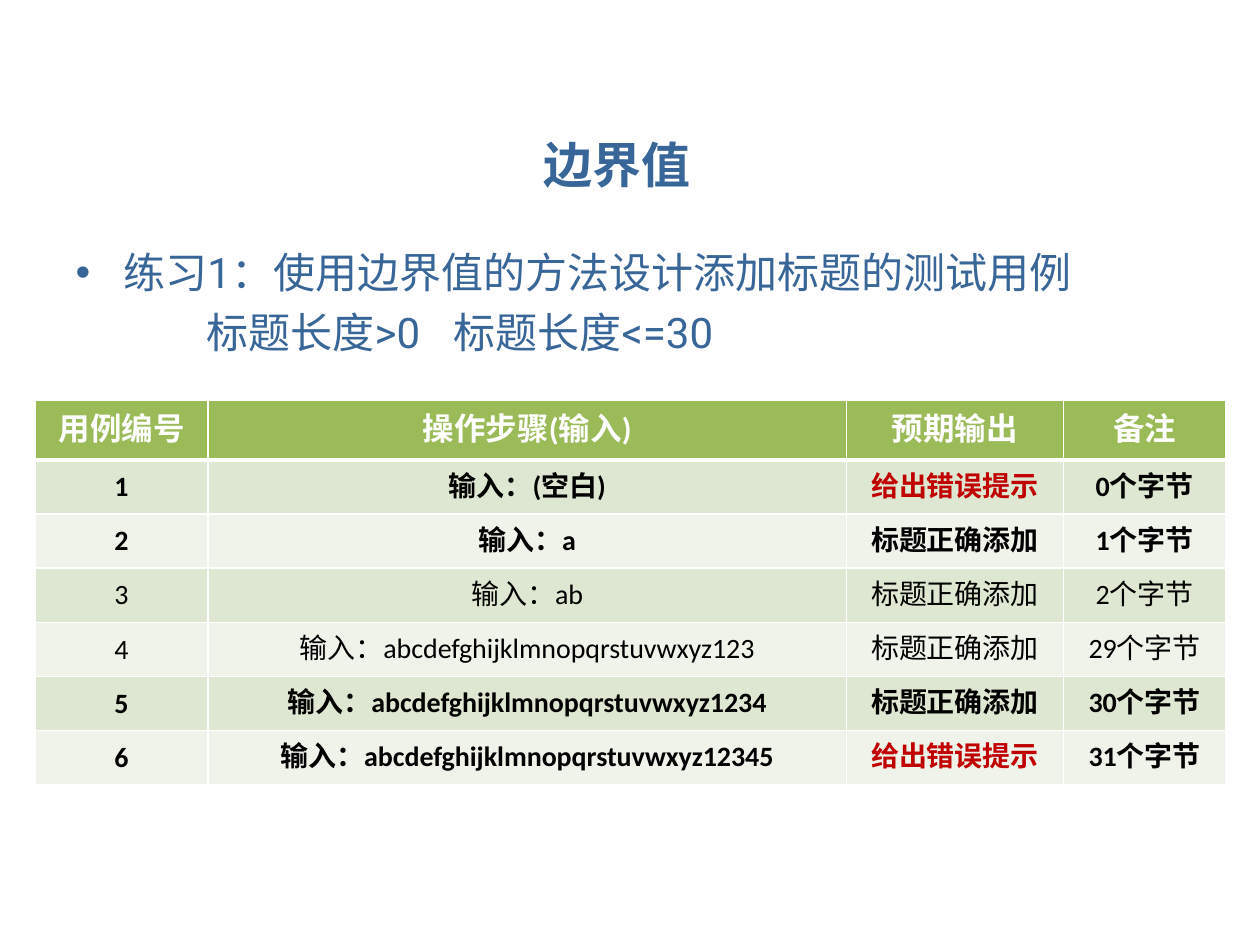
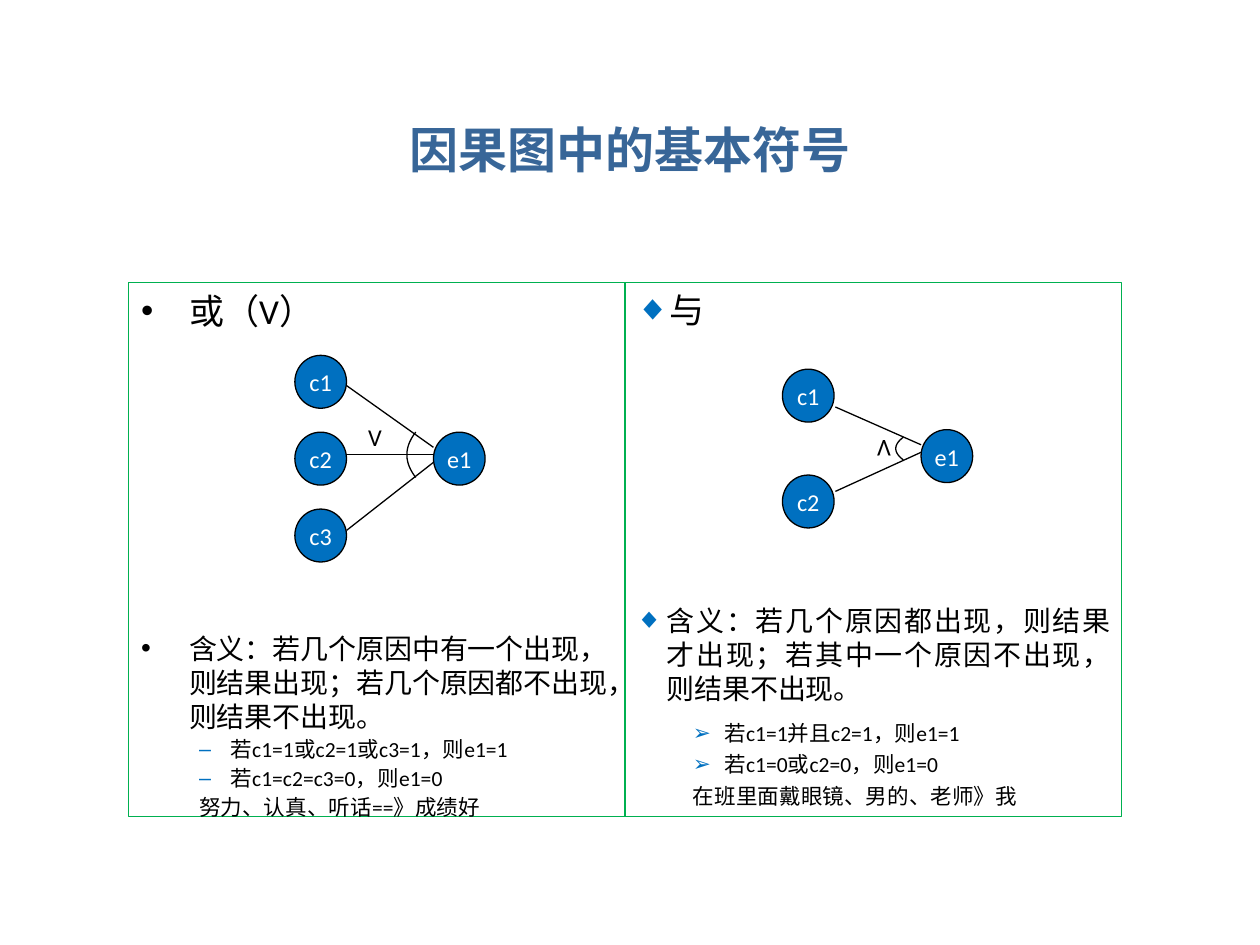
from dataclasses import dataclass

from lxml.etree import SubElement
from pptx import Presentation
from pptx.dml.color import RGBColor
from pptx.enum.lang import MSO_LANGUAGE_ID
from pptx.enum.shapes import MSO_CONNECTOR, MSO_SHAPE
from pptx.enum.text import MSO_ANCHOR, MSO_AUTO_SIZE, PP_ALIGN
from pptx.oxml.ns import qn
from pptx.util import Pt

PX = 9144  # EMU in one px, 100 px to the inch


@dataclass(frozen=True)
class Theme:
    heading: str = "386698"
    ink: str = "000000"
    white: str = "FFFFFF"
    accent: str = "0070C0"
    frame: str = "00B050"
    alert: str = "C00000"
    header: str = "9BBB59"
    bands: tuple = ("DEE7D1", "EFF3EA")
    title_font: str = "Roboto"
    text_font: str = "Calibri"
    alert_font: str = "Times New Roman"
    east_asian_font: str = "Noto Sans CJK SC"
    title_size: float = 28
    lead_size: float = 24
    topic_size: float = 20
    header_size: float = 18
    text_size: float = 16
    node_size: float = 13.8
    detail_size: float = 12.3
    line_height: float = 1.22
    thin: float = 0.75


THEME = Theme()


def px(*lengths):
    return [round(length * PX) for length in lengths]


def write(frame, text, first=False, size=THEME.text_size, font=THEME.text_font,
          color=THEME.ink, bold=False, align=PP_ALIGN.LEFT, level=0, margin=0,
          indent=0, before=0, spacing=1, bullet=None, bullet_color=None, tab=None):
    """Put one formatted paragraph into a text frame."""
    para = frame.paragraphs[0] if first else frame.add_paragraph()
    properties = para._p.get_or_add_pPr()
    properties.set("marL", str(margin * PX))
    properties.set("indent", str(indent * PX))
    if bullet_color:
        color_part = SubElement(properties, qn("a:buClr"))
        SubElement(color_part, qn("a:srgbClr"), val=bullet_color)
    if bullet:
        SubElement(properties, qn("a:buChar"), char=bullet)
    else:
        SubElement(properties, qn("a:buNone"))
    if tab:
        tabs = SubElement(properties, qn("a:tabLst"))
        SubElement(tabs, qn("a:tab"), pos=str(tab * PX), algn="l")
    para.level = level
    para.alignment = align
    para.line_spacing = Pt(size * THEME.line_height * spacing)
    para.space_before = Pt(before)
    para.space_after = Pt(0)
    span = para.add_run()
    span.text = text
    span.font.size = Pt(size)
    span.font.name = font
    span.font.bold = bold
    span.font.color.rgb = RGBColor.from_string(color)
    span.font.language_id = MSO_LANGUAGE_ID.SIMPLIFIED_CHINESE
    SubElement(span._r.get_or_add_rPr(), qn("a:ea"), typeface=THEME.east_asian_font)


class Builder:
    def __init__(self, deck, theme):
        self.deck, self.theme, self.page = deck, theme, None

    def start(self, layout):
        self.page = self.deck.slides.add_slide(self.deck.slide_layouts[layout])

    def place(self, box, left, top, width, height):
        box.left, box.top, box.width, box.height = px(left, top, width, height)

    def outline(self, shape, color):
        shape.line.color.rgb = RGBColor.from_string(color)
        shape.line.width = Pt(self.theme.thin)

    def title(self, text, *bounds):
        box = self.page.shapes.title
        self.place(box, *bounds)
        box.text_frame.auto_size = MSO_AUTO_SIZE.NONE
        box.text_frame.vertical_anchor = MSO_ANCHOR.MIDDLE
        write(box.text_frame, text, first=True, size=self.theme.title_size,
              font=self.theme.title_font, color=self.theme.heading, bold=True,
              align=PP_ALIGN.CENTER)

    def body(self, index, bounds, paragraphs, inset=(10, 5), framed=False):
        box = self.page.placeholders[index]
        self.place(box, *bounds)
        frame = box.text_frame
        frame.auto_size = MSO_AUTO_SIZE.NONE
        frame.vertical_anchor = MSO_ANCHOR.TOP
        frame.margin_left, frame.margin_top = px(*inset)
        frame.margin_right, frame.margin_bottom = px(*inset)
        if framed:
            self.outline(box, self.theme.frame)
        for number, (text, style) in enumerate(paragraphs):
            write(frame, text, first=number == 0, **style)

    def shape(self, kind, text, left, top, width, height, fill, color, rotation=0):
        shape = self.page.shapes.add_shape(kind, *px(left, top, width, height))
        shape.shadow.inherit = False
        shape.rotation = rotation
        shape.fill.solid()
        shape.fill.fore_color.rgb = RGBColor.from_string(fill)
        shape.line.fill.background()
        frame = shape.text_frame
        frame.word_wrap = False
        frame.vertical_anchor = MSO_ANCHOR.MIDDLE
        frame.margin_left = frame.margin_right = frame.margin_top = frame.margin_bottom = 0
        write(frame, text, first=True, size=self.theme.node_size, color=color,
              align=PP_ALIGN.CENTER)
        return shape

    def node(self, text, left, top):
        circle = self.shape(MSO_SHAPE.OVAL, text, left, top, 41, 42,
                            self.theme.accent, self.theme.white)
        self.outline(circle, self.theme.ink)

    def operator(self, left, top, rotation=0):
        self.shape(MSO_SHAPE.RECTANGLE, "V", left, top, 31, 33,
                   self.theme.white, self.theme.ink, rotation)

    def line(self, *ends):
        link = self.page.shapes.add_connector(MSO_CONNECTOR.STRAIGHT, *px(*ends))
        self.outline(link, self.theme.ink)
        SubElement(link._element.spPr, qn("a:effectLst"))

    def arc(self, left, top, depth, height, steps=24):
        ratios = [2 * step / steps - 1 for step in range(steps + 1)]
        points = [px(left + depth * t * t, top + height * (t + 1) / 2) for t in ratios]
        builder = self.page.shapes.build_freeform(*points[0])
        builder.add_line_segments(points[1:], close=False)
        curve = builder.convert_to_shape()
        curve.shadow.inherit = False
        curve.fill.background()
        self.outline(curve, self.theme.ink)

    def cell(self, cell, text, fill, edges, **style):
        properties = cell._tc.get_or_add_tcPr()
        for side, points in edges.items():
            edge = SubElement(properties, qn(f"a:ln{side}"), w=str(Pt(points)))
            paint = SubElement(edge, qn("a:solidFill"))
            SubElement(paint, qn("a:srgbClr"), val=self.theme.white)
        cell.fill.solid()
        cell.fill.fore_color.rgb = RGBColor.from_string(fill)
        cell.vertical_anchor = MSO_ANCHOR.MIDDLE
        cell.margin_left, cell.margin_right, cell.margin_top, cell.margin_bottom = px(13, 13, 5, 5)
        write(cell.text_frame, text, first=True, align=PP_ALIGN.CENTER, **style)

    def table(self, left, top, widths, heights, header, cases):
        theme = self.theme
        bounds = px(left, top, sum(widths), sum(heights))
        table = self.page.shapes.add_table(len(heights), len(widths), *bounds).table
        table.horz_banding = False
        for column, width in zip(table.columns, px(*widths)):
            column.width = width
        for row, height in zip(table.rows, px(*heights)):
            row.height = height
        for column, text in enumerate(header):
            self.cell(table.cell(0, column), text, theme.header,
                      dict(L=1, R=1, T=1, B=3), size=theme.header_size,
                      color=theme.white, bold=True)
        for number, (bold, *texts) in enumerate(cases, 1):
            edges = dict(L=1, R=1, T=3 if number == 1 else 1, B=1)
            for column, text in enumerate([str(number), *texts]):
                style = dict(bold=bold)
                if text == REJECTED:
                    style.update(color=theme.alert, font=theme.alert_font)
                self.cell(table.cell(number, column), text,
                          theme.bands[(number - 1) % 2], edges, **style)


# Test cases: bold, input, expected result, remark
REJECTED, ACCEPTED = "给出错误提示", "标题正确添加"
CASES = [
    (True, "输入：(空白)", REJECTED, "0个字节"),
    (True, "输入：a", ACCEPTED, "1个字节"),
    (False, "输入：ab", ACCEPTED, "2个字节"),
    (False, "输入：abcdefghijklmnopqrstuvwxyz123", ACCEPTED, "29个字节"),
    (True, "输入：abcdefghijklmnopqrstuvwxyz1234", ACCEPTED, "30个字节"),
    (True, "输入：abcdefghijklmnopqrstuvwxyz12345", REJECTED, "31个字节"),
]


def boundary_slide(builder):
    theme = builder.theme
    builder.start(1)
    builder.title("边界值", 40, 101, 899, 57)

    # Exercise
    lead = dict(size=theme.lead_size, font=theme.title_font, color=theme.heading)
    builder.body(1, (50, 190, 900, 111), [
        ("练习1：使用边界值的方法设计添加标题的测试用例",
         dict(lead, margin=38, indent=-38, bullet="•")),
        ("标题长度>0\t标题长度<=30", dict(lead, indent=104, tab=307, before=4.8)),
    ])

    # Test case table
    builder.table(28, 318, [137, 507, 172, 129], [47] + [43] * 6,
                  ["用例编号", "操作步骤(输入)", "预期输出", "备注"], CASES)


def symbols_slide(builder):
    theme = builder.theme
    builder.start(3)
    builder.title("因果图中的基本符号", 50, 89, 900, 58)
    detail = dict(size=theme.detail_size, level=1, before=6)
    item = dict(detail, margin=71, indent=-25, bullet_color=theme.accent)
    closing = dict(detail, margin=46)

    # Text of the "or" panel
    point = dict(margin=38, indent=-38, bullet="•")
    dash = dict(item, bullet="–", spacing=0.7)
    builder.body(1, (102, 224, 394, 424), [
        ("或（V）", dict(point, size=theme.topic_size)),
        ("含义：若几个原因中有一个出现，则结果出现；若几个原因都不出现，则结果不出现。",
         dict(point, before=171)),
        ("若c1=1或c2=1或c3=1，则e1=1", dash),
        ("若c1=c2=c3=0，则e1=0", dash),
        ("努力、认真、听话==》成绩好", dict(closing, spacing=0.7)),
    ], framed=True)

    # Text of the "and" panel
    point = dict(margin=25, indent=-25, bullet="◆", bullet_color=theme.accent,
                 align=PP_ALIGN.JUSTIFY)
    arrow = dict(item, bullet="➢", spacing=0.8)
    builder.body(2, (496, 224, 394, 424), [
        ("与", dict(point, size=theme.topic_size)),
        ("含义：若几个原因都出现，则结果才出现；若其中一个原因不出现，则结果不出现。",
         dict(point, before=156)),
        ("若c1=1并且c2=1，则e1=1", dict(arrow, before=11)),
        ("若c1=0或c2=0，则e1=0", arrow),
        ("在班里面戴眼镜、男的、老师》我", dict(closing, spacing=0.8)),
    ], inset=(8, 4), framed=True)

    # "Or" graph
    builder.arc(323, 343, 7, 36)
    builder.operator(282, 330)
    for number, (start, end) in enumerate([(306, 355), (361, 361), (421, 367)]):
        builder.node(f"c{number + 1}", 234, 282 + 61 * number)
        builder.line(275, start, 344, end)
    builder.node("e1", 344, 343)

    # "And" graph
    builder.operator(686, 341, rotation=180)
    builder.arc(711, 347, 6, 18)
    for number, (start, end) in enumerate([(323, 353), (390, 359)]):
        builder.node(f"c{number + 1}", 621, 293 + 84 * number)
        builder.line(663, start, 731, end)
    builder.node("e1", 731, 341)


def main():
    deck = Presentation()
    deck.slide_width, deck.slide_height = px(1000, 750)
    builder = Builder(deck, THEME)
    boundary_slide(builder)
    symbols_slide(builder)
    deck.save("out.pptx")


if __name__ == "__main__":
    main()
